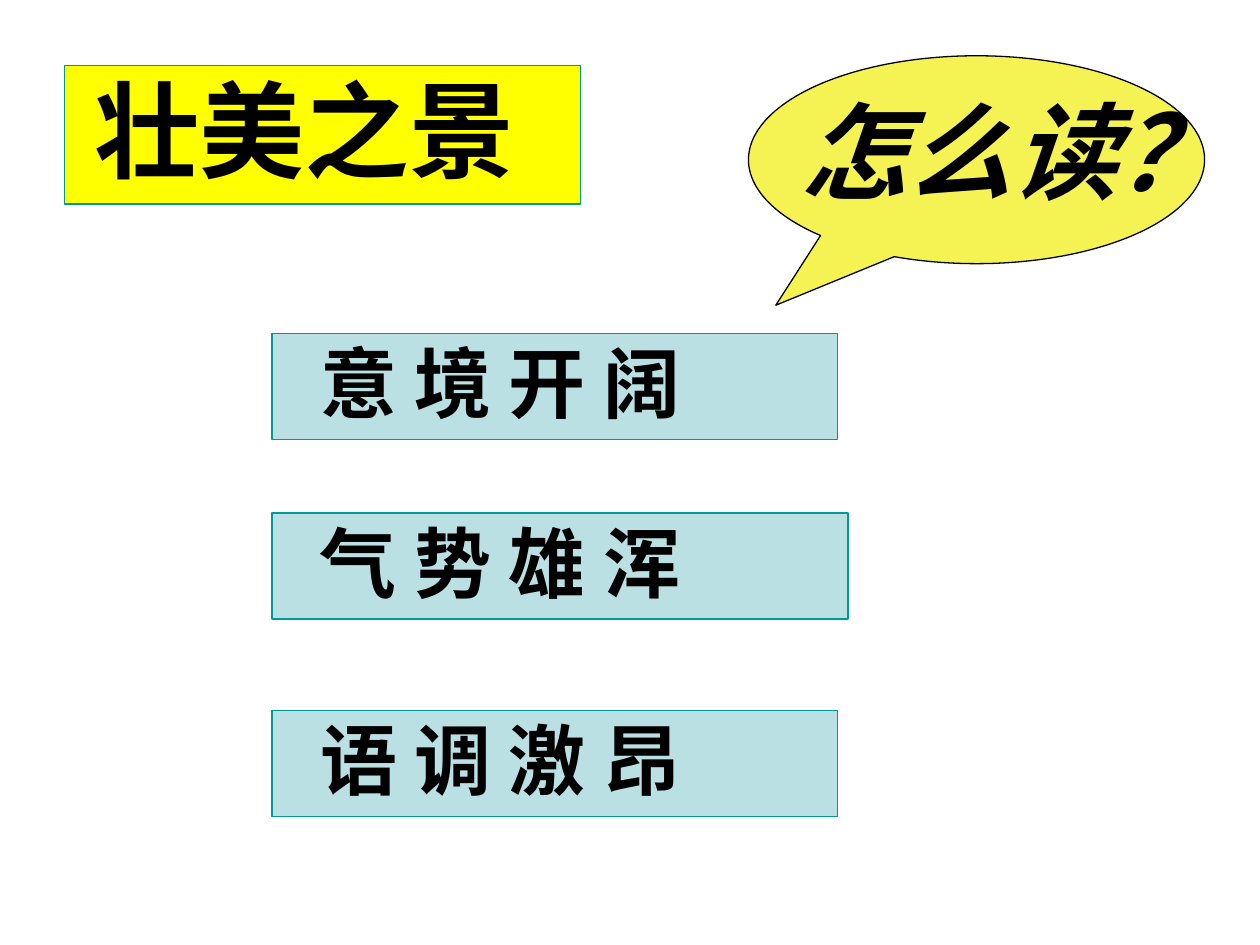
from pptx import Presentation
from pptx.dml.color import RGBColor as Rgb
from pptx.enum.shapes import MSO_SHAPE as Kind
from pptx.enum.text import MSO_ANCHOR as Anchor, MSO_AUTO_SIZE as Fit, PP_ALIGN as Align
from pptx.oxml.ns import qn
from pptx.util import Inches, Pt

HEX = {"ink": "000000", "edge": "009999", "title": "FFFF00",
       "card": "BBE0E3", "bubble": "F5F353"}
SANS = "Noto Sans CJK SC"
WIDE, HIGH = Inches(10), Inches(7.5)


def color(name):
    return Rgb.from_string(HEX[name])


def place(shape, box):
    """Set the shape at a box given as shares of the slide's size."""
    x, y, w, h = box
    shape.left, shape.top = round(x * WIDE), round(y * HIGH)
    shape.width, shape.height = round(w * WIDE), round(h * HIGH)


def paint(shape, fill, line):
    shape.fill.solid()
    shape.fill.fore_color.rgb = color(fill)
    shape.line.color.rgb = color(line)
    shape.line.width = Pt(0.75)


def write(shape, text, size, inset=0.1, face=SANS, slant=False, wrap=True):
    frame = shape.text_frame
    frame.auto_size, frame.word_wrap = Fit.NONE, wrap
    frame.vertical_anchor = Anchor.MIDDLE
    frame.margin_left, frame.margin_right = Inches(inset), Inches(0.1)
    frame.margin_top = frame.margin_bottom = Inches(0.05)
    para = frame.paragraphs[0]
    para.alignment, para.line_spacing = Align.LEFT, 0.95
    run = para.add_run()
    run.text = text
    font = run.font
    font.name, font.size = face, Pt(size)
    font.bold, font.italic = True, slant
    font.color.rgb = color("ink")
    east = font._element.makeelement(qn("a:ea"), {"typeface": face})
    font._element.find(qn("a:latin")).addnext(east)


def add_title(slide, box):
    title = slide.shapes.title
    place(title, box)
    paint(title, "title", "edge")
    write(title, "壮美之景", 60, inset=0.24)


def add_card(slide, box, text):
    card = slide.shapes.add_shape(Kind.RECTANGLE, 0, 0, 0, 0)
    card.shadow.inherit = False
    place(card, box)
    paint(card, "card", "edge")
    write(card, text, 44, inset=0.38)


def add_bubble(slide, box):
    x, y, w, h = box
    oval = slide.shapes.add_shape(Kind.OVAL_CALLOUT, 0, 0, 0, 0)
    oval.shadow.inherit = False
    place(oval, box)
    paint(oval, "bubble", "ink")
    oval.adjustments[0], oval.adjustments[1] = -0.44, 0.7
    label = slide.shapes.add_textbox(0, 0, 0, 0)
    place(label, (x + 0.09 * w, y + 0.145 * h, 0.975 * w, 0.67 * h))
    write(label, "怎么读？", 60, face="Arial", slant=True, wrap=False)


def main():
    deck = Presentation()
    deck.slide_width, deck.slide_height = WIDE, HIGH
    slide = deck.slides.add_slide(deck.slide_layouts[5])
    add_title(slide, (0.051, 0.069, 0.41, 0.147))
    cards = [("意 境 开 阔", 0.353, 0.449),
             ("气 势 雄 浑", 0.543, 0.457),
             ("语 调 激 昂", 0.752, 0.449)]
    for text, top, width in cards:
        add_card(slide, (0.216, top, width, 0.112), text)
    add_bubble(slide, (0.594, 0.059, 0.362, 0.22))
    deck.save("out.pptx")


if __name__ == "__main__":
    main()
